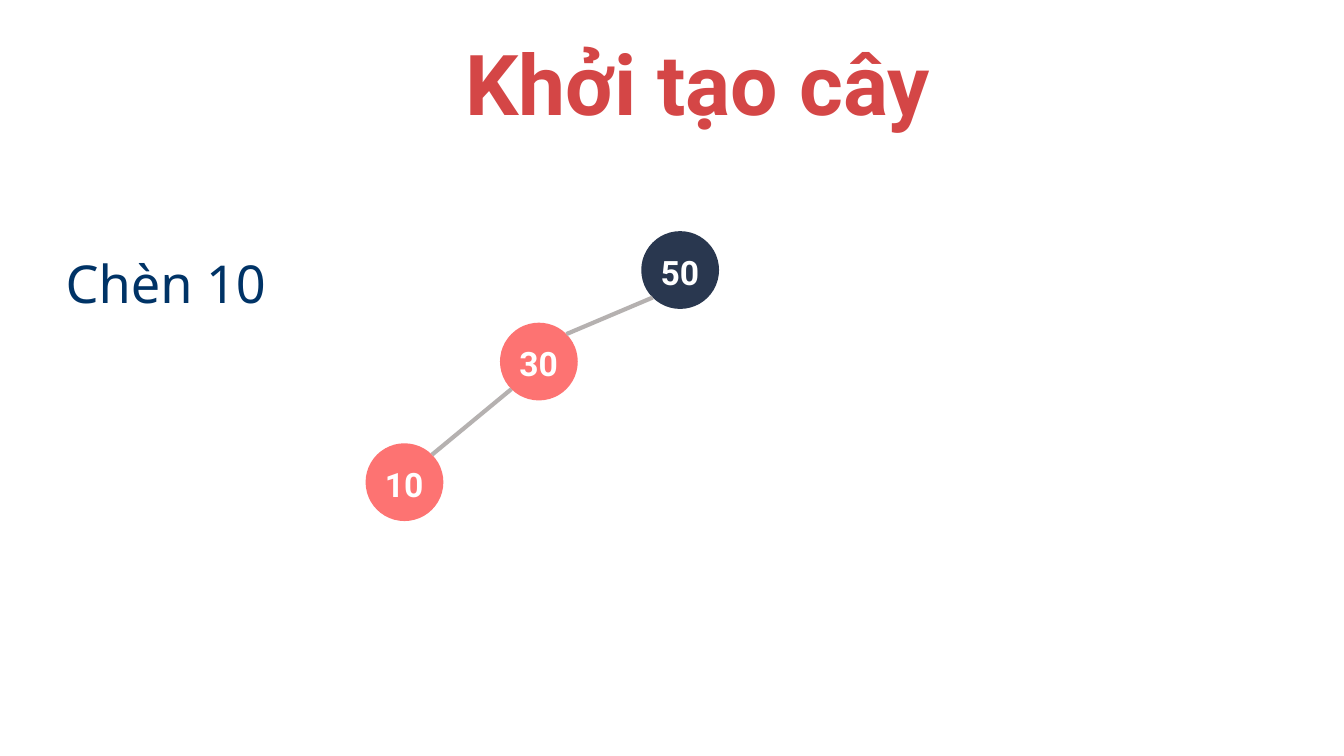
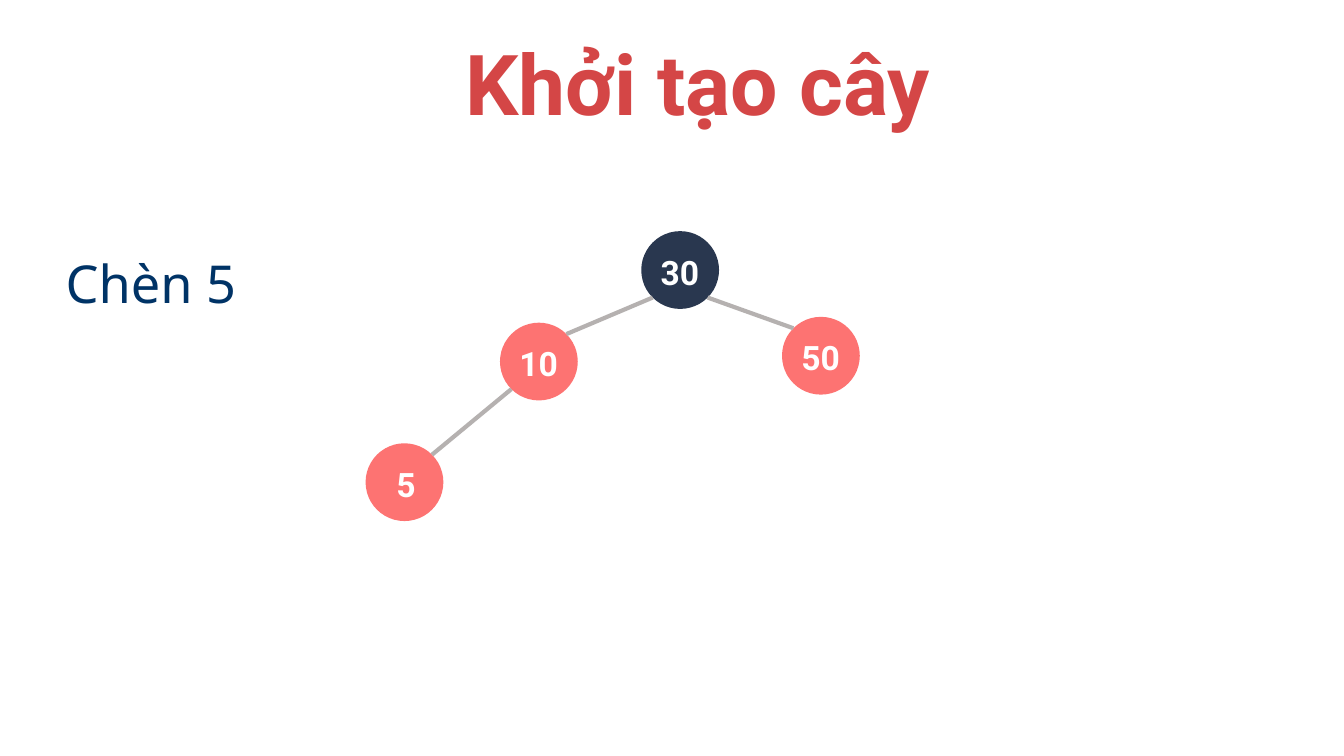
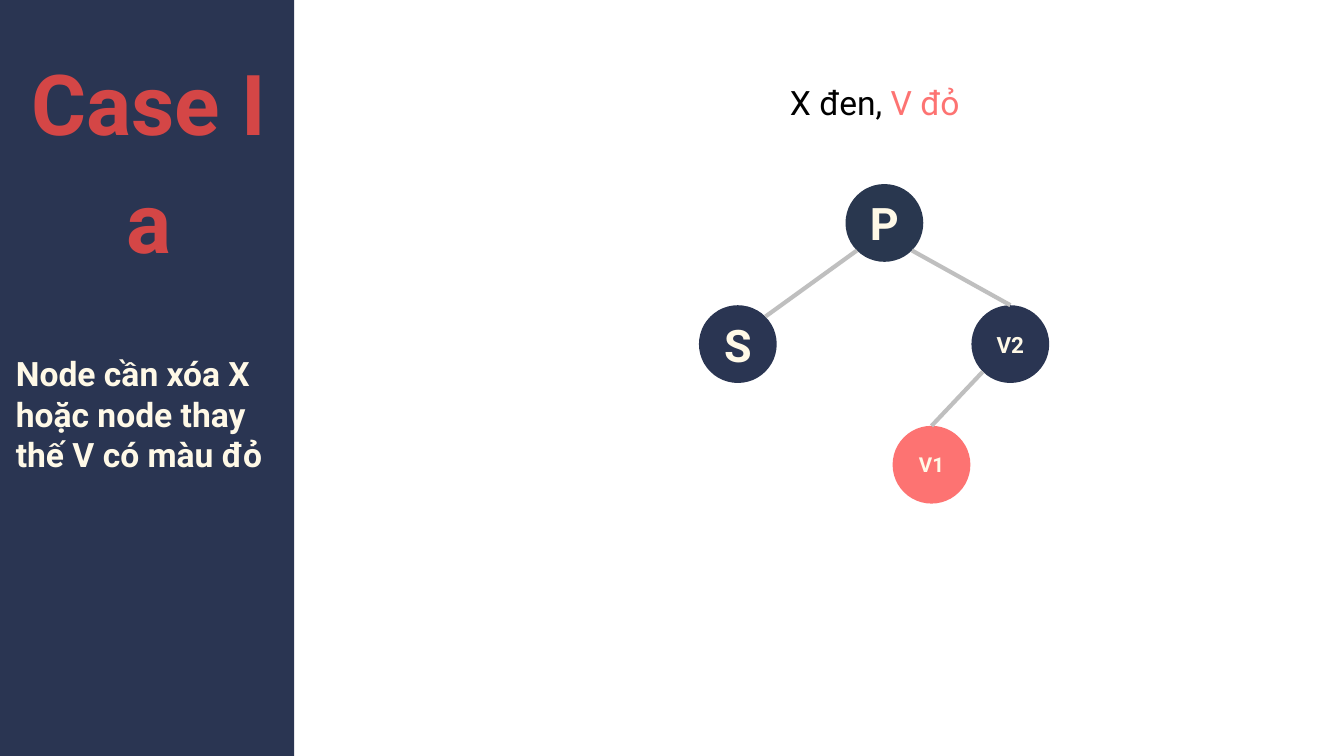
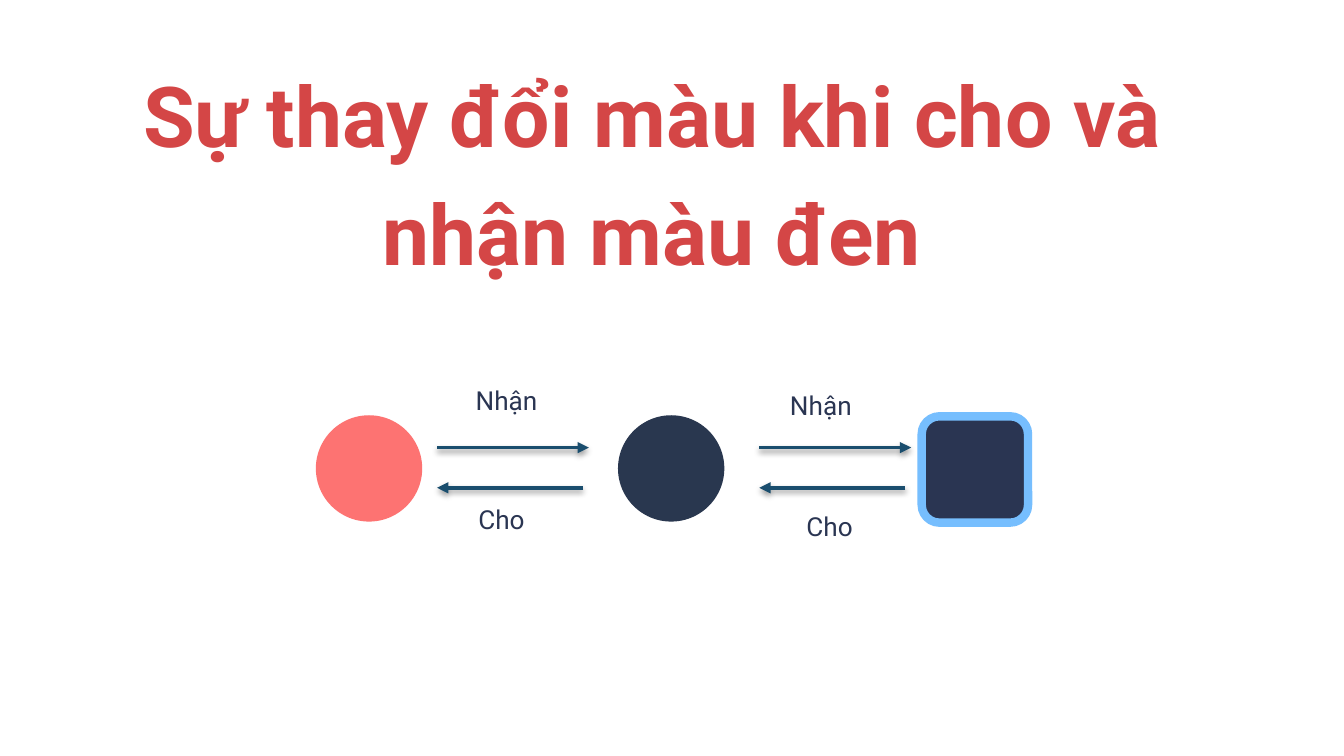
from math import cos, radians, sin

from lxml.etree import SubElement
from pptx import Presentation
from pptx.dml.color import RGBColor
from pptx.enum.shapes import MSO_CONNECTOR, MSO_SHAPE
from pptx.enum.text import MSO_ANCHOR, MSO_AUTO_SIZE, PP_ALIGN
from pptx.oxml.ns import qn
from pptx.util import Cm, Pt

TITLE_RED = RGBColor(0xD4, 0x46, 0x46)
CORAL = RGBColor(0xFD, 0x73, 0x72)
SLATE = RGBColor(0x29, 0x37, 0x4F)
NAVY = RGBColor(0x2A, 0x35, 0x52)
STEP_BLUE = RGBColor(0x00, 0x33, 0x66)
ARROW_BLUE = RGBColor(0x1A, 0x4E, 0x6E)
SKY = RGBColor(0x76, 0xBE, 0xFE)
CREAM = RGBColor(0xFF, 0xF9, 0xE7)
WHITE = RGBColor(0xFF, 0xFF, 0xFF)
BLACK = RGBColor(0x00, 0x00, 0x00)
EDGE_GRAY = RGBColor(0xB5, 0xB1, 0xB0)
LIGHT_GRAY = RGBColor(0xBF, 0xBF, 0xBF)

NODE_SIZE = 1.47
ROOT = (12.12, 4.37)
LEFT_CHILD = (9.45, 6.1)
RIGHT_CHILD = (14.78, 5.99)
LEFT_LEAF = (6.91, 8.38)

TOP, TOP_RIGHT, BOTTOM_RIGHT, BOTTOM_LEFT, TOP_LEFT = 270, 315, 45, 135, 225


def write(frame, text, size, color, name="Roboto", bold=False,
          align=PP_ALIGN.LEFT, spacing=None):
    """Fill a text frame with evenly formatted paragraphs."""
    frame.text = text
    for paragraph in frame.paragraphs:
        paragraph.alignment = align
        paragraph.line_spacing = spacing
        font = paragraph.font
        font.name, font.size, font.bold = name, Pt(size), bold
        font.color.rgb = color


def clear_margins(frame):
    """Remove the inner margins of a text frame."""
    frame.margin_left = frame.margin_right = 0
    frame.margin_top = frame.margin_bottom = 0


def add_page(deck, title, left, top, width, height, align=PP_ALIGN.CENTER):
    """Add a page with its red title placed."""
    page = deck.slides.add_slide(deck.slide_layouts.get_by_name("Title Only"))
    holder = page.shapes.title
    holder.left, holder.top = Cm(left), Cm(top)
    holder.width, holder.height = Cm(width), Cm(height)
    frame = holder.text_frame
    frame.auto_size = MSO_AUTO_SIZE.NONE
    frame.vertical_anchor = MSO_ANCHOR.TOP
    clear_margins(frame)
    write(frame, title, 45, TITLE_RED, bold=True, align=align, spacing=Pt(63))
    return page


def add_text(page, text, left, top, width, height, size, color,
             margins=True, **style):
    """Add a wrapping text box."""
    box = page.shapes.add_textbox(Cm(left), Cm(top), Cm(width), Cm(height))
    frame = box.text_frame
    frame.word_wrap = True
    if not margins:
        clear_margins(frame)
    write(frame, text, size, color, **style)
    return box


def add_figure(page, kind, left, top, width, height, fill):
    """Add a flat preset shape without outline."""
    figure = page.shapes.add_shape(kind, Cm(left), Cm(top), Cm(width), Cm(height))
    figure.shadow.inherit = False
    figure.fill.solid()
    figure.fill.fore_color.rgb = fill
    figure.line.fill.background()
    return figure


def add_circle(page, place, fill, size=NODE_SIZE):
    """Add a filled circle."""
    return add_figure(page, MSO_SHAPE.OVAL, *place, size, size, fill)


def add_number_node(page, number, place, fill):
    """Add a tree node with its number in a box above it."""
    node = add_circle(page, place, fill)
    width = 1.32 if len(number) > 1 else 0.89
    left = place[0] + (NODE_SIZE - width) / 2 + 0.04
    add_text(page, number, left, place[1] + 0.26, width, 1.02, 18, WHITE, bold=True)
    return node


def add_letter_node(page, name, place, fill, size):
    """Add a tree node that holds its own name."""
    node = add_circle(page, place, fill)
    frame = node.text_frame
    frame.word_wrap = False
    frame.vertical_anchor = MSO_ANCHOR.MIDDLE
    write(frame, name, size, CREAM, bold=True, align=PP_ALIGN.CENTER)
    return node


def add_line(page, start, end, color, width):
    """Add a straight line and return it with its empty effect list."""
    line = page.shapes.add_connector(MSO_CONNECTOR.STRAIGHT, *start, *end)
    line.line.color.rgb = color
    line.line.width = Pt(width)
    effects = SubElement(line.element.spPr, qn("a:effectLst"))
    return line, effects


def rim_point(node, angle):
    """Return the point on a circle at a clockwise angle from its right."""
    radius = node.width / 2
    return (round(node.left + radius * (1 + cos(radians(angle)))),
            round(node.top + radius * (1 + sin(radians(angle)))))


def add_edge(page, parent, parent_angle, child, child_angle, color=EDGE_GRAY):
    """Join two nodes between points on their rims."""
    add_line(page, rim_point(parent, parent_angle), rim_point(child, child_angle),
             color, 2.25)


def add_arrow(page, start, end, height):
    """Add a level arrow with a soft shadow."""
    arrow, effects = add_line(page, (Cm(start), Cm(height)), (Cm(end), Cm(height)),
                              ARROW_BLUE, 2)
    SubElement(arrow.line._get_or_add_ln(), qn("a:tailEnd"), type="triangle")
    shadow = SubElement(effects, qn("a:outerShdw"), blurRad="40000", dist="20000",
                        dir="5400000", rotWithShape="0")
    shade = SubElement(shadow, qn("a:srgbClr"), val=str(BLACK))
    SubElement(shade, qn("a:alpha"), val="38000")


def add_insertion_page(deck, step, root, left, leaf, right=None):
    """Add a page that shows the tree at one insertion."""
    page = add_page(deck, "Khởi tạo cây", 8.79, 0.28, 14.4, 2.08, PP_ALIGN.LEFT)
    add_text(page, step, 1.24, 4.75, 4.24, 1.19, 28, STEP_BLUE,
             margins=False, name="Noto Sans")
    root_node = add_number_node(page, root, ROOT, SLATE)
    left_node = add_number_node(page, left, LEFT_CHILD, CORAL)
    leaf_node = add_number_node(page, leaf, LEFT_LEAF, CORAL)
    add_edge(page, root_node, BOTTOM_LEFT, left_node, TOP_RIGHT)
    add_edge(page, left_node, BOTTOM_LEFT, leaf_node, TOP_RIGHT)
    if right:
        right_node = add_number_node(page, right, RIGHT_CHILD, CORAL)
        add_edge(page, root_node, BOTTOM_RIGHT, right_node, TOP_LEFT)


def add_deletion_page(deck):
    """Add the page on the first deletion case."""
    page = add_page(deck, "Case I\na", 0.51, 0.66, 4.6, 4.32)
    band = add_figure(page, MSO_SHAPE.RECTANGLE, -0.03, -0.03, 5.59, 14.4, NAVY)
    page.shapes.title.element.addprevious(band.element)
    add_text(page, "Node cần xóa X hoặc node thay thế V có màu đỏ",
             0.3, 6.68, 5, 2.31, 18, CREAM, margins=False, bold=True)
    caption = add_text(page, "X đen, ", 14.68, 1.42, 4.06, 1.02, 18, BLACK)
    span = caption.text_frame.paragraphs[0].add_run()
    span.text = "V đỏ"
    span.font.color.rgb = CORAL
    parent = add_letter_node(page, "P", (15.98, 3.48), SLATE, 24)
    sibling = add_letter_node(page, "S", (13.21, 5.77), NAVY, 24)
    deleted = add_letter_node(page, "V2", (18.36, 5.77), NAVY, 12)
    replacement = add_letter_node(page, "V1", (16.87, 8.05), CORAL, 11)
    add_edge(page, parent, BOTTOM_LEFT, sibling, TOP_RIGHT, LIGHT_GRAY)
    add_edge(page, parent, BOTTOM_RIGHT, deleted, TOP, LIGHT_GRAY)
    add_edge(page, deleted, BOTTOM_LEFT, replacement, TOP, LIGHT_GRAY)


def add_color_page(deck):
    """Add the page on giving and receiving black."""
    page = add_page(deck, "Sự thay đổi màu khi cho và nhận màu đen",
                    2.34, 0.89, 19.96, 4.32)
    size = 2.01
    add_circle(page, (5.97, 7.85), CORAL, size)
    add_circle(page, (11.68, 7.85), SLATE, size)
    double_black = add_figure(page, MSO_SHAPE.ROUNDED_RECTANGLE,
                              17.42, 7.87, size, size, NAVY)
    double_black.line.color.rgb = SKY
    double_black.line.width = Pt(4.5)
    for start in (8.26, 14.35):
        add_arrow(page, start, start + 2.87, 8.46)
        add_arrow(page, start + 2.76, start, 9.22)
    for text, left, top, width in (("Nhận", 8.74, 7.14, 1.85),
                                   ("Nhận", 14.68, 7.24, 2.54),
                                   ("Cho", 8.79, 9.4, 2.54),
                                   ("Cho", 14.99, 9.53, 2.54)):
        add_text(page, text, left, top, width, 0.86, 14, NAVY)


def main():
    """Build and save the deck."""
    deck = Presentation()
    deck.slide_width, deck.slide_height = Cm(25.4), Cm(14.29)
    add_insertion_page(deck, "Chèn 10", root="50", left="30", leaf="10")
    add_insertion_page(deck, "Chèn 5", root="30", left="10", leaf="5", right="50")
    add_deletion_page(deck)
    add_color_page(deck)
    deck.save("out.pptx")


if __name__ == "__main__":
    main()
